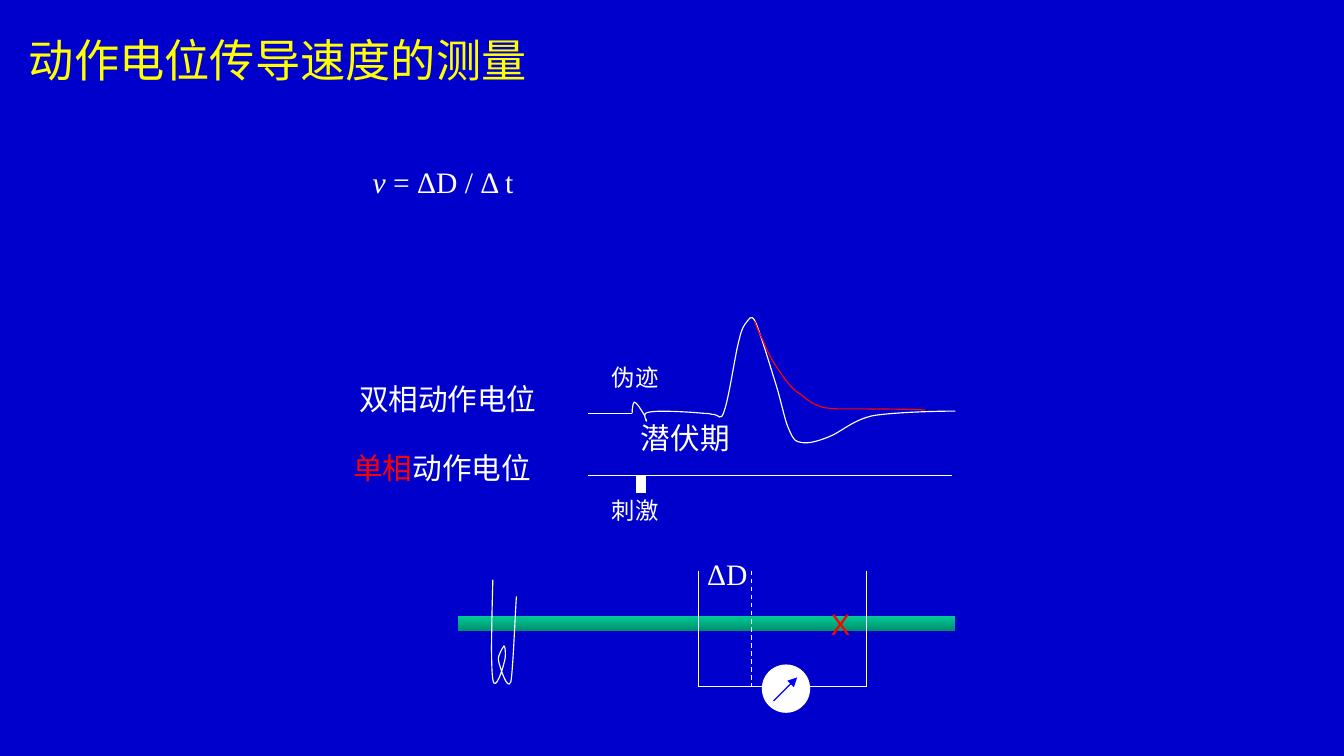
from pptx import Presentation
from pptx.dml.color import RGBColor
from pptx.enum import dml, shapes, text
from pptx.oxml.ns import qn
from pptx.util import Inches, Pt
from lxml import etree

WHITE, RED, YELLOW, BLUE = "FFFFFF", "FF0000", "FFFF00", "0000FF"
TIMES, NOTO = "Times New Roman", "Noto Sans CJK SC"
rgb = RGBColor.from_string

prs = Presentation()
prs.slide_width, prs.slide_height = Inches(11.97), Inches(6.73)
s = prs.slides.add_slide(prs.slide_layouts[6])
s.background.fill.solid()
s.background.fill.fore_color.rgb = rgb("0000CC")


def add_line(x1, y1, x2, y2, color=WHITE, width=0.75):
    c = s.shapes.add_connector(shapes.MSO_CONNECTOR.STRAIGHT,
                               Inches(x1), Inches(y1), Inches(x2), Inches(y2))
    c.line.color.rgb = rgb(color)
    c.line.width = Pt(width)
    etree.SubElement(c._element.spPr, qn("a:effectLst"))
    return c


def add_curve(start, segments, color):
    """Draw cubic Bezier segments, each given as two control points and an end point."""
    points = [(Inches(seg[i]), Inches(seg[i + 1])) for seg in segments for i in (0, 2, 4)]
    fb = s.shapes.build_freeform(Inches(start[0]), Inches(start[1]))
    fb.add_line_segments(points, close=False)
    sp = fb.convert_to_shape()
    # Gather each three straight steps into one cubic step
    steps = list(sp._element.iter(qn("a:lnTo")))
    outline = steps[0].getparent()
    for i in range(0, len(steps), 3):
        cubic = etree.SubElement(outline, qn("a:cubicBezTo"))
        for step in steps[i:i + 3]:
            cubic.append(step[0])
            outline.remove(step)
    sp.fill.background()
    sp.line.color.rgb = rgb(color)
    sp.line.width = Pt(0.75)
    sp.shadow.inherit = False


# Stimulus trace with its pulse, and the start of the response baseline
add_line(5.24, 4.23, 8.48, 4.23)
add_line(5.71, 4.39, 5.71, 4.23, width=6)
add_line(5.24, 3.68, 5.63, 3.68)

# Biphasic action potential
add_curve((5.63, 3.68), [
    (5.63, 3.63, 5.64, 3.58, 5.65, 3.58),
    (5.67, 3.58, 5.71, 3.65, 5.73, 3.68),
    (5.75, 3.70, 5.75, 3.76, 5.76, 3.75),
    (5.77, 3.75, 5.70, 3.68, 5.78, 3.67),
    (5.86, 3.65, 6.17, 3.67, 6.27, 3.68),
    (6.36, 3.68, 6.33, 3.70, 6.36, 3.69),
    (6.40, 3.69, 6.42, 3.76, 6.45, 3.66),
    (6.49, 3.55, 6.54, 3.21, 6.57, 3.08),
    (6.60, 2.95, 6.61, 2.92, 6.64, 2.88),
    (6.67, 2.85, 6.69, 2.78, 6.73, 2.87),
    (6.77, 2.96, 6.86, 3.26, 6.91, 3.42),
    (6.96, 3.58, 6.99, 3.75, 7.03, 3.83),
    (7.07, 3.92, 7.08, 3.93, 7.14, 3.94),
    (7.20, 3.95, 7.28, 3.93, 7.38, 3.89),
    (7.49, 3.85, 7.59, 3.74, 7.78, 3.70),
    (7.97, 3.67, 8.35, 3.66, 8.51, 3.66)], WHITE)

# Nerve
nerve = s.shapes.add_shape(shapes.MSO_SHAPE.RECTANGLE, Inches(4.08), Inches(5.48),
                           Inches(4.43), Inches(0.13))
nerve.fill.gradient()
nerve.fill.gradient_angle = 270
for stop, color in zip(nerve.fill.gradient_stops, ("00CC99", "00926D")):
    stop.color.rgb = rgb(color)
nerve.line.fill.background()
nerve.shadow.inherit = False

# Stimulating electrode
add_curve((4.39, 5.16), [
    (4.38, 5.54, 4.37, 5.92, 4.39, 6.05),
    (4.41, 6.17, 4.48, 5.95, 4.49, 5.90),
    (4.51, 5.85, 4.50, 5.75, 4.49, 5.75),
    (4.49, 5.75, 4.43, 5.83, 4.44, 5.88),
    (4.45, 5.93, 4.52, 6.16, 4.55, 6.07),
    (4.57, 5.97, 4.59, 5.43, 4.60, 5.31)], WHITE)

# Recording electrodes; the dashed one is the shifted position
for x in (6.22, 7.72, 6.69):
    electrode = add_line(x, 5.08, x, 6.11)
electrode.line.dash_style = dml.MSO_LINE.DASH
add_line(6.22, 6.11, 7.72, 6.11)

# Meter with its needle
meter = s.shapes.add_shape(shapes.MSO_SHAPE.OVAL, Inches(6.79), Inches(5.92),
                           Inches(0.42), Inches(0.42))
meter.fill.solid()
meter.fill.fore_color.rgb = rgb(WHITE)
meter.line.color.rgb = rgb(WHITE)
meter.line.width = Pt(0.75)
meter.shadow.inherit = False
needle = add_line(6.89, 6.24, 7.1, 6.03, BLUE)
etree.SubElement(needle.line._get_or_add_ln(), qn("a:tailEnd"), type="triangle")

# Monophasic action potential
add_curve((6.72, 2.86), [
    (6.74, 2.92, 6.77, 2.98, 6.80, 3.04),
    (6.82, 3.10, 6.85, 3.15, 6.88, 3.21),
    (6.92, 3.27, 6.97, 3.35, 7.01, 3.40),
    (7.05, 3.45, 7.08, 3.48, 7.13, 3.51),
    (7.17, 3.54, 7.21, 3.58, 7.26, 3.60),
    (7.32, 3.62, 7.29, 3.63, 7.46, 3.64),
    (7.62, 3.64, 8.10, 3.64, 8.24, 3.65)], RED)

# Title, formula and labels: left, top, width, height, size, font, runs (text, colour, italic)
labels = [
    (0.16, 0.24, 4.68, 0.59, 29, NOTO, [("动作电位传导速度的测量", YELLOW, False)]),
    (3.22, 1.41, 1.47, 0.42, 19, TIMES, [("v ", WHITE, True), ("= ΔD / Δ t", WHITE, False)]),
    (3.1, 3.34, 1.8, 0.42, 19, TIMES, [("双相动作电位", WHITE, False)]),
    (3.05, 3.96, 1.8, 0.42, 19, TIMES, [("单相", RED, False), ("动作电位", WHITE, False)]),
    (5.61, 3.69, 0.99, 0.42, 19, TIMES, [("潜伏期", WHITE, False)]),
    (5.35, 3.18, 0.62, 0.35, 15, TIMES, [("伪迹", WHITE, False)]),
    (5.35, 4.37, 0.62, 0.35, 15, TIMES, [("刺激", WHITE, False)]),
    (6.2, 4.9, 0.56, 0.42, 19, TIMES, [("ΔD", WHITE, False)]),
    (7.3, 5.34, 0.38, 0.42, 19, "Arial", [("X", RED, False)]),
]
for x, y, w, h, size, font, runs in labels:
    tf = s.shapes.add_textbox(Inches(x), Inches(y), Inches(w), Inches(h)).text_frame
    tf.word_wrap = False
    tf.auto_size = text.MSO_AUTO_SIZE.SHAPE_TO_FIT_TEXT
    for words, color, italic in runs:
        r = tf.paragraphs[0].add_run()
        r.text = words
        r.font.size, r.font.name, r.font.italic = Pt(size), font, italic
        r.font.color.rgb = rgb(color)
        etree.SubElement(r._r.get_or_add_rPr(), qn("a:ea"), typeface=NOTO)

prs.save("out.pptx")
